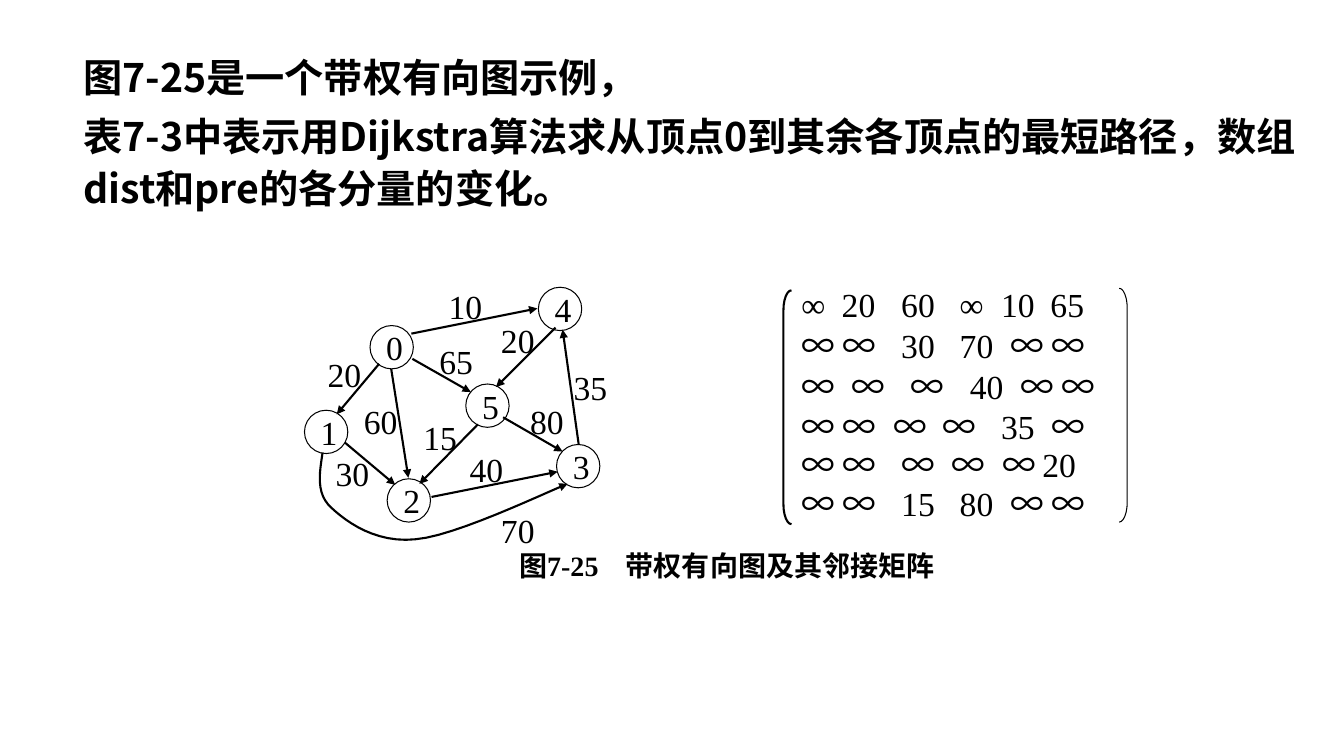
"""Build a slide with a weighted directed graph and its adjacency matrix."""
from lxml import etree
from pptx import Presentation, util as u
from pptx.dml.color import RGBColor
from pptx.enum import shapes, text
from pptx.oxml.ns import qn

INK = {"line": "000000", "text": "000000"}
SERIF, SANS = "Times New Roman", "Noto Sans CJK SC"


def write(para, part, size, latin, east, bold=False):
    run = para.add_run()
    run.text = part
    run.font.size, run.font.bold, run.font.name = u.Pt(size), bold, latin
    run.font.color.rgb = RGBColor.from_string(INK["text"])
    etree.SubElement(run._r.rPr, qn("a:ea")).set("typeface", east)


def draw(shape, width, arrow=False):
    shape.line.width = u.Pt(width)
    shape.line.color.rgb = RGBColor.from_string(INK["line"])
    props = shape._element.spPr
    if arrow:
        etree.SubElement(props.find(qn("a:ln")), qn("a:tailEnd")).set("type", "triangle")
    if props.find(qn("a:effectLst")) is None:
        etree.SubElement(props, qn("a:effectLst"))


deck = Presentation()
deck.slide_width, deck.slide_height = u.Inches(13.33), u.Inches(7.5)
slide = deck.slides.add_slide(deck.slide_layouts[6])
items = slide.shapes

nodes = [(3.67, 3.23), (3.02, 4.07), (3.84, 4.75), (5.52, 4.41), (5.34, 2.85), (4.62, 3.81)]
for name, (x, y) in enumerate(nodes):
    node = items.add_shape(shapes.MSO_SHAPE.OVAL, u.Inches(x), u.Inches(y), u.Inches(0.43), u.Inches(0.43))
    node.shadow.inherit = False
    node.fill.background()
    draw(node, 0.75)
    frame = node.text_frame
    frame.word_wrap = False
    frame.vertical_anchor = text.MSO_ANCHOR.MIDDLE
    frame.paragraphs[0].alignment = text.PP_ALIGN.LEFT
    write(frame.paragraphs[0], str(name), 24, SERIF, SERIF)

edges = [
    (3.76, 3.61, 3.34, 4.11),
    (3.42, 4.39, 3.92, 4.81),
    (3.88, 3.66, 4.05, 4.74),
    (4.09, 3.56, 4.67, 3.89),
    (4.74, 4.21, 4.16, 4.80),
    (5.51, 3.25, 4.92, 3.84),
    (4.08, 3.31, 5.33, 3.06),
    (4.99, 4.14, 5.58, 4.48),
    (4.28, 4.93, 5.53, 4.68),
    (5.74, 4.41, 5.58, 3.27),
]
for ends in edges:
    edge = items.add_connector(shapes.MSO_CONNECTOR.STRAIGHT, *[u.Inches(v) for v in ends])
    draw(edge, 1.5, True)

curve = [
    [(3.2, 4.49), (3.17, 4.69), (3.13, 4.9), (3.29, 5.04)],
    [(3.29, 5.04), (3.44, 5.18), (3.73, 5.39), (4.12, 5.35)],
    [(4.12, 5.35), (4.51, 5.32), (5.38, 4.9), (5.63, 4.8)],
]
points = [[u.Inches(v) for v in curve[0][0]]]
for bend in curve:
    for step in range(1, 13):
        t = step / 12
        rates = [(1 - t) ** 3, 3 * t * (1 - t) ** 2, 3 * t * t * (1 - t), t ** 3]
        points.append([u.Inches(sum(r * p[axis] for r, p in zip(rates, bend))) for axis in (0, 1)])
path = items.build_freeform(*points[0])
path.add_line_segments(points[1:], close=False)
loop = path.convert_to_shape()
loop.shadow.inherit = False
loop.fill.background()
draw(loop, 1.5, True)

for kind, x, y, width in [
    (shapes.MSO_SHAPE.LEFT_BRACKET, 7.77, 2.88, 1.5),
    (shapes.MSO_SHAPE.RIGHT_BRACKET, 11.1, 2.86, 0.75),
]:
    side = items.add_shape(kind, u.Inches(x), u.Inches(y), u.Inches(0.08), u.Inches(2.32))
    side.adjustments[0] = 2.48
    side.shadow.inherit = False
    side.fill.background()
    draw(side, width)

weights = [
    ("20", 3.15, 3.52), ("30", 3.23, 4.5), ("60", 3.51, 3.98), ("65", 4.26, 3.39),
    ("15", 4.1, 4.14), ("20", 4.87, 3.18), ("10", 4.35, 2.84), ("80", 5.16, 3.98),
    ("40", 4.56, 4.46), ("35", 5.59, 3.64), ("70", 4.87, 5.06),
]
rows = [
    (2.84, "∞ 20 60 ∞ 10 65", SERIF, [0.4, 0.99, 1.57, 1.98, 2.47]),
    (3.25, "∞ ∞ 30 70 ∞ ∞", SANS, [0.41, 0.99, 1.57, 2.07, 2.48]),
    (3.65, "∞ ∞ ∞ 40 ∞ ∞", SANS, [0.5, 1.08, 1.67, 2.17, 2.58]),
    (4.05, "∞ ∞ ∞ ∞ 35 ∞", SANS, [0.41, 0.91, 1.4, 1.98, 2.48]),
    (4.43, "∞ ∞ ∞ ∞ ∞ 20", SANS, [0.41, 0.99, 1.49, 1.99, 2.39]),
    (4.82, "∞ ∞ 15 80 ∞ ∞", SANS, [0.41, 0.99, 1.57, 2.07, 2.48]),
]
labels = [(x, y, 0.51, 0.39, [word], SERIF, [], 24) for word, x, y in weights]
labels += [(7.85, y, 3.19, 0.35, row.split(), font, stops, 24) for y, row, font, stops in rows]
labels.append((5.05, 5.43, 4.4, 0.35, ["图7-25", "带权有向图及其邻接矩阵"], SANS, [1.06], 20))
for x, y, w, h, words, font, stops, size in labels:
    box = items.add_textbox(u.Inches(x), u.Inches(y), u.Inches(w), u.Inches(h))
    frame = box.text_frame
    frame.word_wrap = True
    frame.margin_right = 0
    frame.vertical_anchor = text.MSO_ANCHOR.MIDDLE
    para = frame.paragraphs[0]
    para.alignment = text.PP_ALIGN.LEFT
    if stops:
        tabs = etree.SubElement(para._p.get_or_add_pPr(), qn("a:tabLst"))
        for stop in stops:
            etree.SubElement(tabs, qn("a:tab"), pos=str(u.Inches(stop)), algn="l")
    for i, word in enumerate(words):
        if i:
            write(para, "\t", size, SERIF, SERIF)
        write(para, word, size, font if word == "∞" else SERIF, font, size == 20)

intro = items.add_textbox(u.Inches(0.73), u.Inches(0.43), u.Inches(12.25), u.Inches(1.73)).text_frame
intro.word_wrap = True
lines = [
    "图7-25是一个带权有向图示例，",
    "表7-3中表示用Dijkstra算法求从顶点0到其余各顶点的最短路径，数组dist和pre的各分量的变化。",
]
for i, line in enumerate(lines):
    para = intro.add_paragraph() if i else intro.paragraphs[0]
    para.line_spacing = 1.1
    if i:
        para.space_before = u.Pt(5.6)
    write(para, line, 28, SANS, SANS, True)

deck.save("out.pptx")
